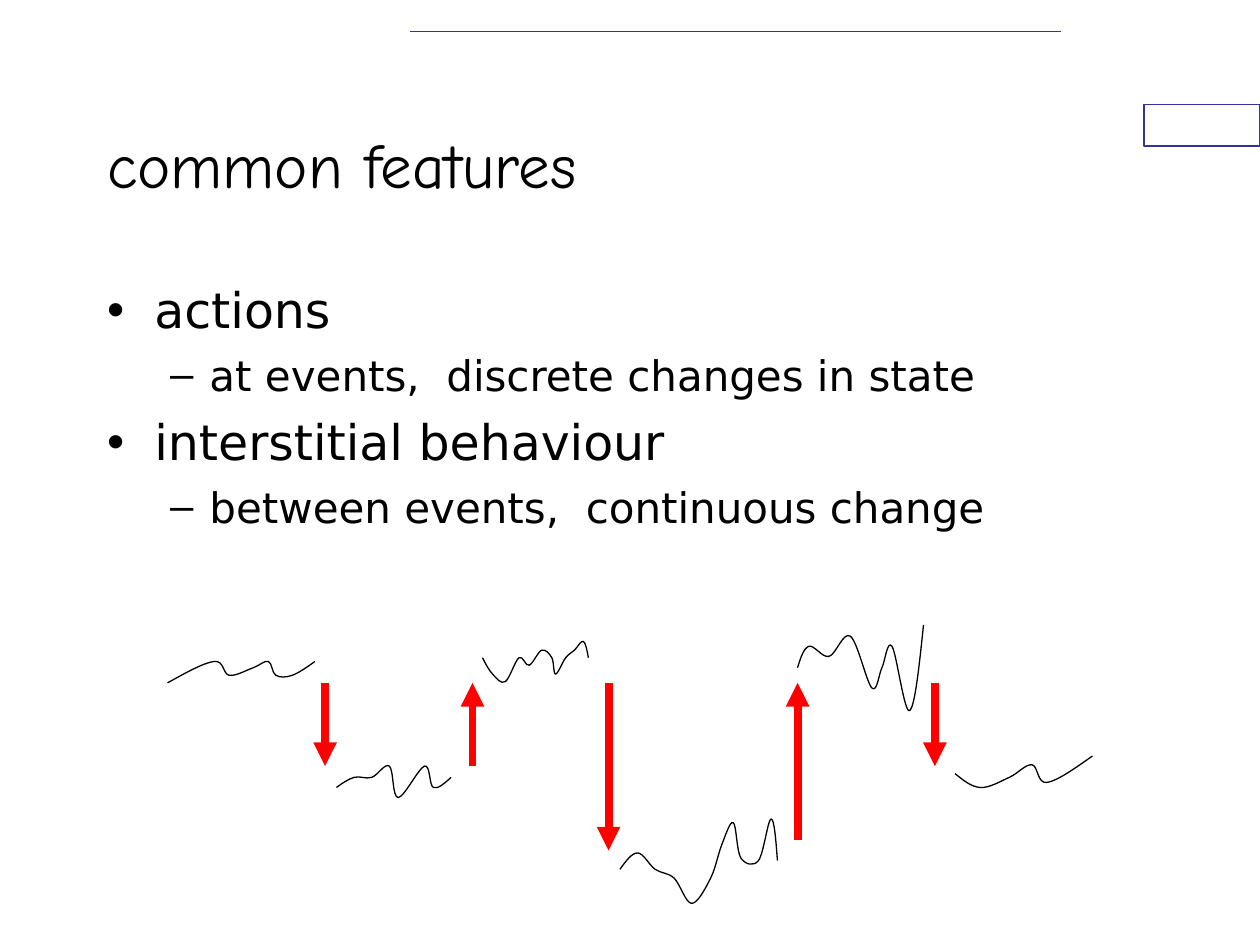
from lxml.etree import SubElement
from pptx import Presentation
from pptx.dml.color import RGBColor
from pptx.enum.shapes import MSO_CONNECTOR, MSO_SHAPE
from pptx.enum.text import MSO_ANCHOR, MSO_AUTO_SIZE, PP_ALIGN
from pptx.oxml.ns import qn
from pptx.util import Inches, Pt

BLACK = RGBColor(0x00, 0x00, 0x00)
WHITE = RGBColor(0xFF, 0xFF, 0xFF)
BLUE = RGBColor(0x33, 0x33, 0x99)
RED = RGBColor(0xFF, 0x00, 0x00)

TITLE_FONT = "Comic Neue"
BODY_FONT = "DejaVu Sans"

BULLETS = [
    (0, "actions"),
    (1, "at events,  discrete changes in state"),
    (0, "interstitial behaviour"),
    (1, "between events,  continuous change"),
]

# Points that each stretch of continuous behaviour passes through
CURVES = [
    [(1.33, 5.42), (1.7, 5.25), (1.82, 5.36), (2.01, 5.3), (2.13, 5.25),
     (2.19, 5.36), (2.32, 5.36), (2.5, 5.25)],
    [(2.67, 6.25), (2.81, 6.17), (2.95, 6.17), (3.09, 6.08), (3.16, 6.33),
     (3.37, 6.08), (3.44, 6.25), (3.58, 6.17)],
    [(3.83, 5.22), (3.91, 5.35), (4.01, 5.41), (4.12, 5.22), (4.2, 5.28),
     (4.3, 5.16), (4.38, 5.22), (4.41, 5.35), (4.49, 5.22), (4.56, 5.16),
     (4.63, 5.09), (4.67, 5.22)],
    [(4.92, 6.9), (5.06, 6.77), (5.2, 6.9), (5.35, 6.97), (5.49, 7.17),
     (5.64, 6.97), (5.73, 6.7), (5.82, 6.53), (5.88, 6.81), (6.02, 6.83),
     (6.12, 6.5), (6.17, 6.83)],
    [(6.33, 5.3), (6.42, 5.13), (6.58, 5.21), (6.75, 5.05), (6.92, 5.46),
     (7, 5.3), (7.08, 5.13), (7.22, 5.64), (7.33, 4.96)],
    [(7.58, 6.14), (7.78, 6.25), (8.01, 6.17), (8.19, 6.07), (8.31, 6.21),
     (8.67, 6)],
]

# Discrete jumps: x, start y, end y
EVENTS = [
    (2.58, 5.42, 6.08),
    (3.75, 6.08, 5.42),
    (4.83, 5.42, 6.75),
    (6.33, 6.67, 5.42),
    (7.42, 5.42, 6.08),
]


def bezier_segments(points):
    """Yield (control, control, end) of a smooth curve through the points."""
    tangents = [((after[0] - before[0]) / 6, (after[1] - before[1]) / 6)
                for before, after in zip(points, points[2:])]
    tangents = [None] + tangents + [None]
    for i, (start, end) in enumerate(zip(points, points[1:])):
        leave, arrive = tangents[i], tangents[i + 1]
        first = leave and (start[0] + leave[0], start[1] + leave[1])
        second = arrive and (end[0] - arrive[0], end[1] - arrive[1])
        # An end point has no tangent: aim halfway to the other control
        first = first or ((start[0] + second[0]) / 2, (start[1] + second[1]) / 2)
        second = second or ((first[0] + end[0]) / 2, (first[1] + end[1]) / 2)
        yield first, second, end


class SlideBuilder:
    def __init__(self, slide):
        self.slide = slide
        self.shapes = slide.shapes

    def place(self, shape, left, top, width, height):
        shape.left, shape.top = Inches(left), Inches(top)
        shape.width, shape.height = Inches(width), Inches(height)

    def style(self, paragraph, font, size):
        paragraph.alignment = PP_ALIGN.LEFT
        for run in paragraph.runs:
            run.font.name = font
            run.font.size = Pt(size)
            run.font.color.rgb = BLACK

    def title(self, text, *box):
        title = self.shapes.title
        self.place(title, *box)
        frame = title.text_frame
        frame.text = text
        frame.auto_size = MSO_AUTO_SIZE.NONE
        frame.vertical_anchor = MSO_ANCHOR.MIDDLE
        self.style(frame.paragraphs[0], TITLE_FONT, 36)

    def bullets(self, items, *box):
        body = self.slide.placeholders[1]
        self.place(body, *box)
        frame = body.text_frame
        frame.text = "\n".join(text for _, text in items)
        frame.auto_size = MSO_AUTO_SIZE.NONE
        for paragraph, (level, _) in zip(frame.paragraphs, items):
            paragraph.level = level
            paragraph.space_before = Pt(7 - level)
            self.style(paragraph, BODY_FONT, 28 - 4 * level)

    def rectangle(self, *box):
        shape = self.shapes.add_shape(MSO_SHAPE.RECTANGLE, *map(Inches, box))
        shape.shadow.inherit = False
        shape.fill.solid()
        shape.fill.fore_color.rgb = WHITE
        shape.line.color.rgb = BLUE
        shape.line.width = Pt(0.75)

    def line(self, start, end, color, width, arrow=False):
        connector = self.shapes.add_connector(
            MSO_CONNECTOR.STRAIGHT, *map(Inches, (*start, *end)))
        connector.line.color.rgb = color
        connector.line.width = Pt(width)
        if arrow:
            SubElement(connector.line._get_or_add_ln(), qn("a:tailEnd"), type="triangle")
        SubElement(connector._element.spPr, qn("a:effectLst"))

    def curve(self, points):
        corners = [(Inches(x), Inches(y)) for x, y in points]
        builder = self.shapes.build_freeform(*corners[0])
        builder.add_line_segments(corners[1:], close=False)
        shape = builder.convert_to_shape()
        shape.shadow.inherit = False
        shape.fill.background()
        shape.line.color.rgb = BLACK
        shape.line.width = Pt(0.75)
        # Turn the straight segments into Bézier segments
        outline = next(shape._element.iter(qn("a:path")))
        local = [(int(pt.get("x")), int(pt.get("y"))) for pt in outline.iter(qn("a:pt"))]
        for segment in outline.findall(qn("a:lnTo")):
            outline.remove(segment)
        for segment in bezier_segments(local):
            bezier = SubElement(outline, qn("a:cubicBezTo"))
            for x, y in segment:
                SubElement(bezier, qn("a:pt"), x=str(round(x)), y=str(round(y)))


def main():
    presentation = Presentation()
    presentation.slide_width, presentation.slide_height = Inches(10), Inches(7.5)
    slide = presentation.slides.add_slide(presentation.slide_layouts[1])
    builder = SlideBuilder(slide)

    # Frame decoration
    builder.rectangle(9.08, 0.83, 0.92, 0.33)
    builder.line((3.25, 0.25), (8.42, 0.25), BLUE, 1)

    # Text
    builder.title("common features", 0.75, 0.67, 7.5, 1.25)
    builder.bullets(BULLETS, 0.75, 2.17, 8.5, 2.83)

    # Continuous behaviour broken by discrete events
    for points in CURVES:
        builder.curve(points)
    for x, start, end in EVENTS:
        builder.line((x, start), (x, end), RED, 4.5, arrow=True)

    presentation.save("out.pptx")


if __name__ == "__main__":
    main()
